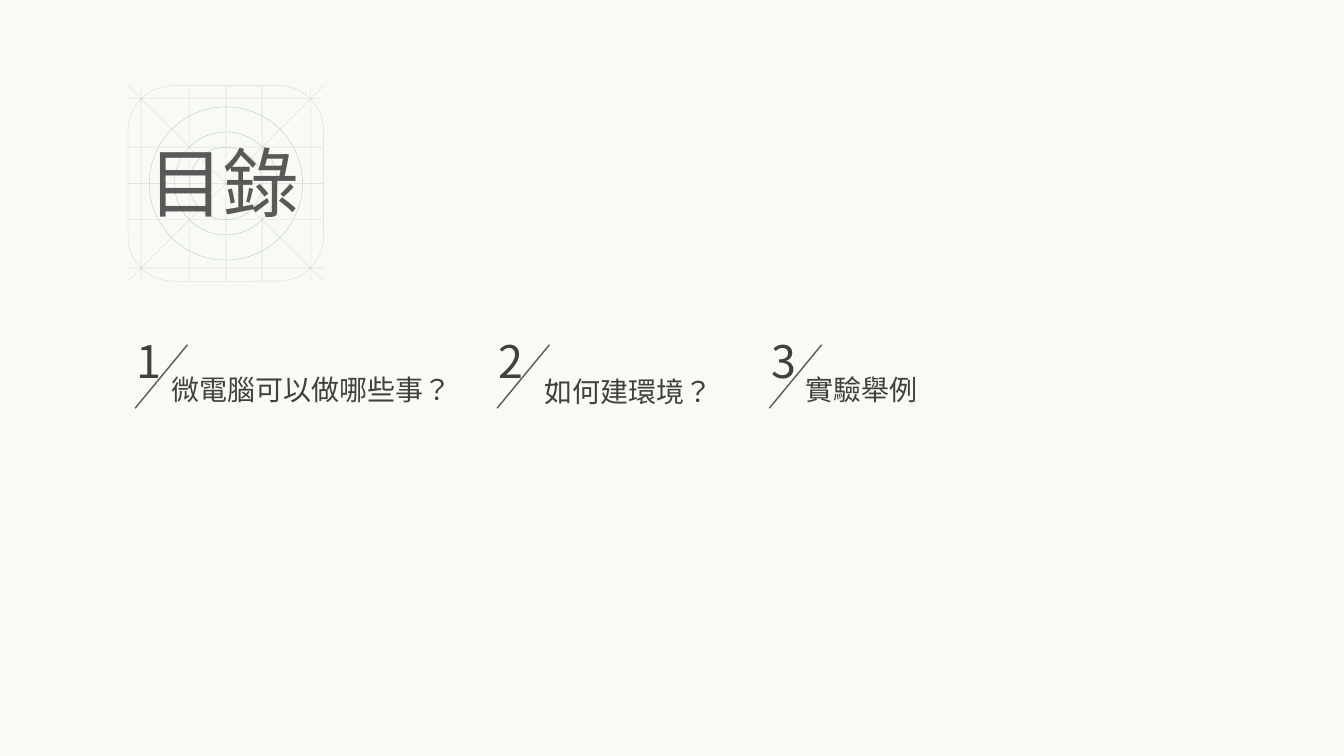
from pptx import Presentation
from pptx.dml.color import RGBColor
from pptx.enum.lang import MSO_LANGUAGE_ID as LANG
from pptx.enum.shapes import MSO_CONNECTOR as CONN, MSO_SHAPE as SHAPE
from pptx.enum.text import MSO_AUTO_SIZE as FIT
from pptx.oxml.ns import qn
from pptx.util import Inches, Pt
from lxml.etree import SubElement

FONT = "Noto Sans CJK SC"


def rgb(code):
    return RGBColor.from_string(code)


def add_text(text, x, y, w, h, size, code):
    tf = s.shapes.add_textbox(*map(Inches, (x, y, w, h))).text_frame
    tf.word_wrap = True
    tf.auto_size = FIT.SHAPE_TO_FIT_TEXT
    r = tf.paragraphs[0].add_run()
    r.text = text
    style = {"size": Pt(size), "name": FONT,
             "language_id": LANG.TRADITIONAL_CHINESE}
    for name, value in style.items():
        setattr(r.font, name, value)
    r.font.color.rgb = rgb(code)
    SubElement(r.font._element, qn("a:ea"), typeface=FONT)


prs = Presentation()
prs.slide_width, prs.slide_height = Inches(13.33), Inches(7.5)
s = prs.slides.add_slide(prs.slide_layouts[6])
s.background.fill.solid()
s.background.fill.fore_color.rgb = rgb("F7FBF3")

cx, cy, half = 2.24, 1.82, 0.97
left, right, top, bottom = cx - half, cx + half, cy - half, cy + half
outlines = [(SHAPE.OVAL, radius) for radius in (0.76, 0.51, 0.36)]
outlines.append((SHAPE.ROUNDED_RECTANGLE, half))
guides = []
for kind, radius in outlines:
    sp = s.shapes.add_shape(
        kind, *map(Inches, (cx - radius, cy - radius, 2 * radius, 2 * radius)))
    sp.shadow.inherit = False
    sp.fill.background()
    if kind == SHAPE.ROUNDED_RECTANGLE:
        sp.adjustments[0] = 0.23
    guides.append((sp, "8F9BA5" if kind == SHAPE.OVAL else "BFBFBF"))

ends = [(left, top, right, bottom), (left, bottom, right, top)]
for offset in (-0.84, -0.36, 0, 0.36, 0.84):
    ends += [(left, cy + offset, right, cy + offset),
             (cx + offset, top, cx + offset, bottom)]
lines = [s.shapes.add_connector(CONN.STRAIGHT, *map(Inches, end)) for end in ends]
guides += [(sp, "BFBFBF") for sp in lines]
for sp, code in guides:
    sp.line.width = Pt(0.25)
    sp.line.color.rgb = rgb(code)
    tint = sp.line._ln.find(".//" + qn("a:srgbClr"))
    SubElement(tint, qn("a:alpha"), val="55000")

add_text("目錄", 1.37, 1.3, 1.78, 1.01, 54, "595959")

topics = [
    ("微電腦可以做哪些事？", 1.26, 1.6, 3.65, 2.99),
    ("如何建環境？", 4.85, 5.3, 3.67, 2.26),
    ("實驗舉例", 7.55, 7.89, 3.65, 2.26),
]
for number, (topic, x, topic_x, topic_y, w) in enumerate(topics, 1):
    add_text(str(number), x, 3.26, 0.45, 0.64, 32, "404040")
    sp = s.shapes.add_connector(
        CONN.STRAIGHT, *map(Inches, (x + 0.6, 3.42, x + 0.08, 4.05)))
    sp.line.width = Pt(1)
    sp.line.color.rgb = rgb("595959")
    lines.append(sp)
    add_text(topic, topic_x, topic_y, w, 0.44, 20, "404040")

for sp in lines:
    SubElement(sp._element.spPr, qn("a:effectLst"))

prs.save("out.pptx")
